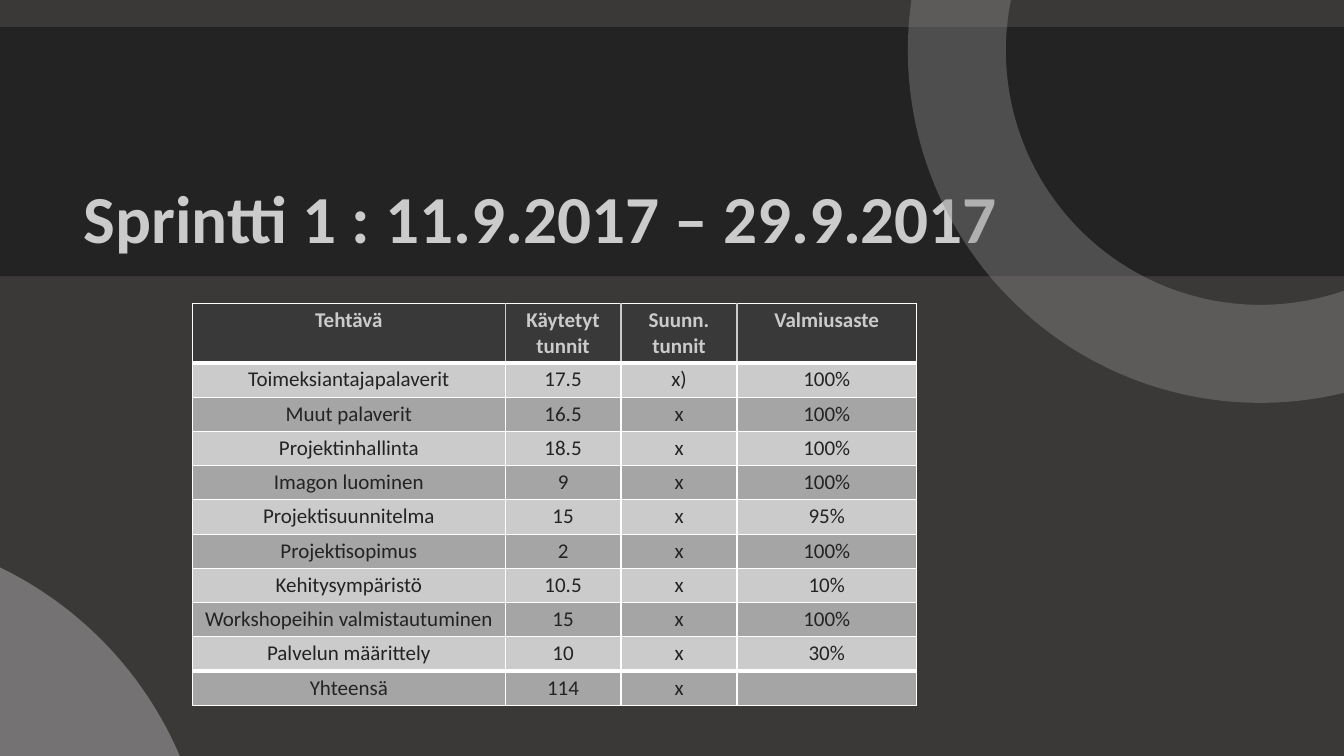
from dataclasses import dataclass

from lxml.etree import SubElement
from pptx import Presentation
from pptx.dml.color import RGBColor as RGB
from pptx.enum.shapes import MSO_SHAPE as SHAPE
from pptx.enum.text import MSO_ANCHOR as ANCHOR, PP_ALIGN as ALIGN
from pptx.oxml.ns import qn
from pptx.util import Inches, Pt


@dataclass(frozen=True)
class Theme:
    font: str = "Calibri"
    title_size: int = 48
    cell_size: int = 15
    ring_width: int = 70
    ring_opacity: int = 41
    background: str = "3B3838"
    band: str = "232323"
    disc: str = "747272"
    ring: str = "8D8B8B"
    light: str = "CBCBCB"
    dark: str = "232323"
    header: str = "393939"
    stripe: str = "A5A5A5"
    border: str = "FFFFFF"


THEME = Theme()

HEADINGS = ("Tehtävä", "Käytetyt tunnit", "Suunn. tunnit", "Valmiusaste")
TASKS = (
    ("Toimeksiantajapalaverit", "17.5", "x)", "100%"),
    ("Muut palaverit", "16.5", "x", "100%"),
    ("Projektinhallinta", "18.5", "x", "100%"),
    ("Imagon luominen", "9", "x", "100%"),
    ("Projektisuunnitelma", "15", "x", "95%"),
    ("Projektisopimus", "2", "x", "100%"),
    ("Kehitysympäristö", "10.5", "x", "10%"),
    ("Workshopeihin valmistautuminen", "15", "x", "100%"),
    ("Palvelun määrittely", "10", "x", "30%"),
)
TOTAL = ("Yhteensä", "114", "x", "")
COLUMN_WIDTHS = (3.1, 1.15, 1.15, 1.78)
HEADER_HEIGHT = 0.58
ROW_HEIGHT = 0.34


def write(frame, text, *, size, color, bold=False, align=ALIGN.LEFT, spacing=1.0):
    paragraph = frame.paragraphs[0]
    paragraph.alignment = align
    paragraph.line_spacing = spacing
    if not text:
        SubElement(paragraph._p, qn("a:endParaRPr"), sz=str(size * 100))
        return
    run = paragraph.add_run()
    run.text = text
    run.font.name = THEME.font
    run.font.size = Pt(size)
    run.font.bold = bold
    run.font.color.rgb = RGB.from_string(color)


def add_plain_shape(slide, kind, left, top, width, height, fill=None):
    shape = slide.shapes.add_shape(kind, *map(Inches, (left, top, width, height)))
    shape.shadow.inherit = False
    shape.line.fill.background()
    if fill:
        shape.fill.solid()
        shape.fill.fore_color.rgb = RGB.from_string(fill)
    else:
        shape.fill.background()
    return shape


def add_ring(slide, left, top, diameter):
    ring = add_plain_shape(slide, SHAPE.OVAL, left, top, diameter, diameter)
    ring.line.width = Pt(THEME.ring_width)
    ring.line.color.rgb = RGB.from_string(THEME.ring)
    color = ring.line._ln.find(f".//{qn('a:srgbClr')}")
    SubElement(color, qn("a:alpha"), val=str(THEME.ring_opacity * 1000))


def place_title(slide, band, text):
    title = slide.shapes.title
    title.left, title.top, title.width, title.height = map(Inches, (0.73, 0, 10, 2.61))
    title.text_frame.vertical_anchor = ANCHOR.BOTTOM
    title.text_frame.word_wrap = True
    write(title.text_frame, text, size=THEME.title_size, color=THEME.light,
          bold=True, spacing=0.9)
    band.element.addnext(title.element)


def set_border(cell, side, color, width):
    line = SubElement(cell._tc.get_or_add_tcPr(), qn(f"a:ln{side}"), w=str(Pt(width)))
    solid = SubElement(line, qn("a:solidFill"))
    SubElement(solid, qn("a:srgbClr"), val=color)


def format_cell(cell, text, fill, color, bold, borders):
    cell.margin_left = cell.margin_right = Inches(0.08)
    cell.margin_top = cell.margin_bottom = Inches(0.04)
    for side, (border_color, width) in borders.items():
        set_border(cell, side, border_color, width)
    cell.fill.solid()
    cell.fill.fore_color.rgb = RGB.from_string(fill)
    write(cell.text_frame, text, size=THEME.cell_size, color=color, bold=bold,
          align=ALIGN.CENTER)


def add_task_table(slide, left, top):
    records = (HEADINGS, *TASKS, TOTAL)
    last_row, last_column = len(records) - 1, len(HEADINGS) - 1
    heights = [HEADER_HEIGHT] + [ROW_HEIGHT] * last_row
    table = slide.shapes.add_table(
        len(records), len(HEADINGS), Inches(left), Inches(top),
        Inches(sum(COLUMN_WIDTHS)), Inches(sum(heights))).table
    for column, width in zip(table.columns, COLUMN_WIDTHS):
        column.width = Inches(width)
    for row, height in zip(table.rows, heights):
        row.height = Inches(height)

    thin, thick = (THEME.border, 1), (THEME.border, 3)
    header_divider = (THEME.light, 1)
    for r, record in enumerate(records):
        is_header = r == 0
        divider = header_divider if is_header else thin
        fill = THEME.header if is_header else (THEME.light if r % 2 else THEME.stripe)
        color = THEME.light if is_header else THEME.dark
        for c, text in enumerate(record):
            borders = {
                "L": divider if c > 0 else thin,
                "R": divider if c < last_column else thin,
                "T": thick if r in (1, last_row) else thin,
                "B": thick if r in (0, last_row - 1) else thin,
            }
            format_cell(table.cell(r, c), text, fill, color, is_header, borders)
    table.cell(last_row, 0).vertical_anchor = ANCHOR.MIDDLE


def main():
    deck = Presentation()
    deck.slide_width, deck.slide_height = Inches(13.33), Inches(7.5)
    slide = deck.slides.add_slide(deck.slide_layouts[5])
    slide.background.fill.solid()
    slide.background.fill.fore_color.rgb = RGB.from_string(THEME.background)

    add_plain_shape(slide, SHAPE.OVAL, -5.3, 5.26, 7.38, 7.38, THEME.disc)
    band = add_plain_shape(slide, SHAPE.RECTANGLE, -0.35, 0.27, 14.67, 2.47, THEME.band)
    place_title(slide, band, "Sprintti 1 : 11.9.2017 – 29.9.2017")
    add_ring(slide, 9.49, -2.51, 6.02)
    add_task_table(slide, 1.91, 3.01)
    deck.save("out.pptx")


main()
